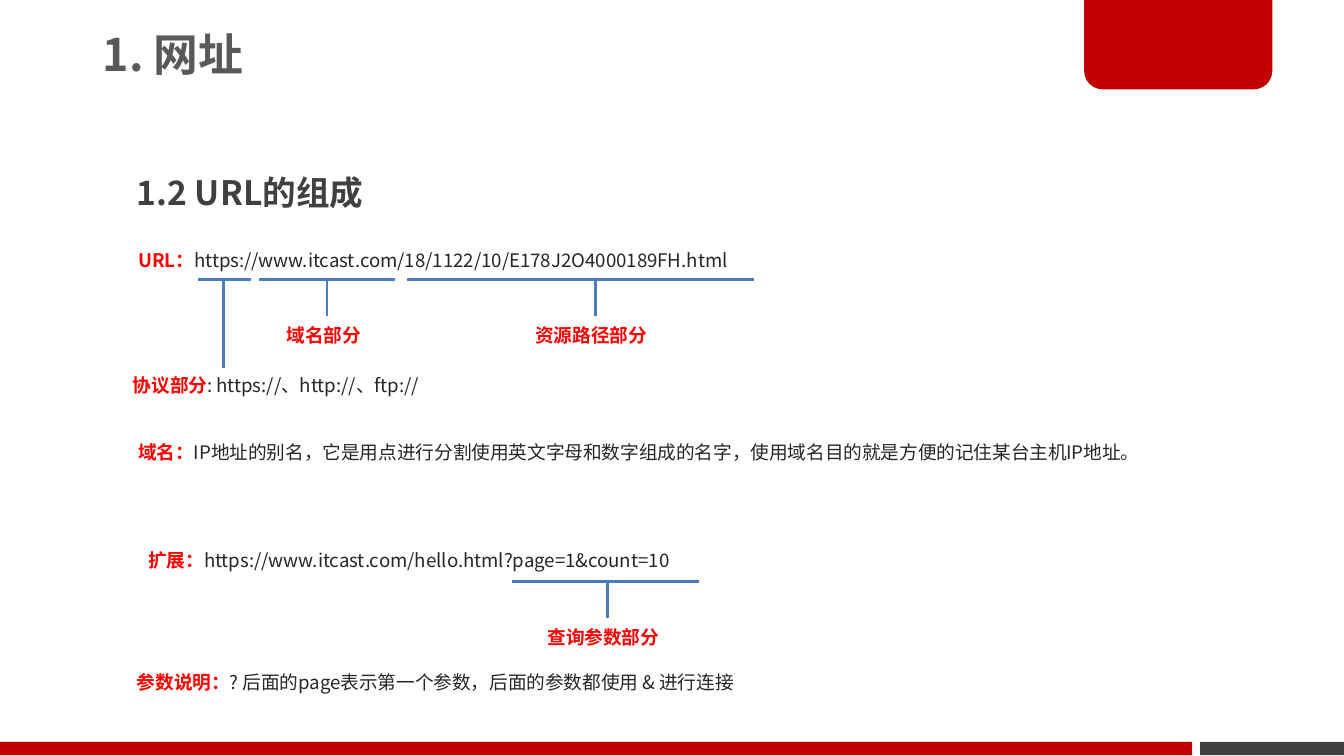
from dataclasses import dataclass

from lxml import etree
from pptx import Presentation
from pptx import util as u
from pptx.dml.color import RGBColor
from pptx.enum import shapes, text
from pptx.oxml.ns import qn

# The slide is a grid of square cells, 100 columns by 56.25 rows (16:9)
COLUMNS, ROWS = 100, 56.25
CELL = u.Inches(0.1)
FONT = "Noto Sans CJK SC"
RED, DARK, BRIGHT, INK, BLUE = "C00000", "404040", "FF0000", "262626", "4A7EBB"
LINE_HEIGHT = 3.5


@dataclass
class TextLine:
    """A line of text: a bold lead and an optional plain remainder."""
    left: float
    top: float
    width: float
    lead: str
    rest: str = ""
    height: float = LINE_HEIGHT
    size: float = 10
    color: str = BRIGHT
    spacing: float = 1.5
    wrap: bool = True


@dataclass
class Bracket:
    """An underline with a stem that drops to a label."""
    left: float
    right: float
    top: float
    stem: float
    drop: float
    label: TextLine


def cells(count: float) -> int:
    return round(count * CELL)


def rgb(color: str) -> RGBColor:
    return RGBColor.from_string(color)


def draw_block(slide, kind, left: float, top: float, width: float, height: float, color: str):
    shape = slide.shapes.add_shape(kind, cells(left), cells(top), cells(width), cells(height))
    shape.shadow.inherit = False
    shape.fill.solid()
    shape.fill.fore_color.rgb = rgb(color)
    shape.line.fill.background()
    return shape


def draw_text(slide, line: TextLine):
    box = slide.shapes.add_textbox(cells(line.left), cells(line.top),
                                   cells(line.width), cells(line.height))
    frame = box.text_frame
    frame.word_wrap = line.wrap
    paragraph = frame.paragraphs[0]
    paragraph.line_spacing = line.spacing
    paragraph.font.name = FONT
    paragraph.font.size = u.Pt(line.size)
    defaults = paragraph._p.pPr.find(qn("a:defRPr"))
    etree.SubElement(defaults, qn("a:ea"), typeface=FONT)
    for words, color, bold in ((line.lead, line.color, True), (line.rest, INK, False)):
        if words:
            run = paragraph.add_run()
            run.text = words
            run.font.bold = bold
            run.font.color.rgb = rgb(color)
    return frame


def draw_line(slide, x1: float, y1: float, x2: float, y2: float) -> None:
    connector = slide.shapes.add_connector(shapes.MSO_CONNECTOR.STRAIGHT,
                                           cells(x1), cells(y1), cells(x2), cells(y2))
    connector.line.color.rgb = rgb(BLUE)
    connector.line.width = u.Pt(1.5)
    etree.SubElement(connector._element.spPr, qn("a:effectLst"))


def draw_bracket(slide, bracket: Bracket) -> None:
    draw_text(slide, bracket.label)
    draw_line(slide, bracket.left, bracket.top, bracket.right, bracket.top)
    draw_line(slide, bracket.stem, bracket.top + bracket.drop, bracket.stem, bracket.top)


TITLE = TextLine(6.85, -0.2, 58.9, "1. 网址", height=8.9, size=24, color="595959", spacing=0.9)

LINES = [
    TextLine(9.2, 10.8, 48.3, "1.2 URL的组成", height=5.5, size=18, color=DARK),
    TextLine(9.3, 17.2, 50.9, "URL：", "https://www.itcast.com/18/1122/10/E178J2O4000189FH.html"),
    TextLine(9.3, 31.5, 82.5, "域名：",
             "IP地址的别名，它是用点进行分割使用英文字母和数字组成的名字，"
             "使用域名目的就是方便的记住某台主机IP地址。"),
    TextLine(10.05, 39.5, 41.1, "扩展：",
             "https://www.itcast.com/hello.html?page=1&count=10", wrap=False),
    TextLine(9.2, 48.6, 58.7, "参数说明：",
             "? 后面的page表示第一个参数，后面的参数都使用 & 进行连接"),
]

URL_ROW, QUERY_ROW = 20.8, 43.25
BRACKETS = [
    Bracket(14.7, 18.7, URL_ROW, 16.63, 6.6,
            TextLine(8.9, 26.5, 25.9, "协议部分", ": https://、http://、ftp://")),
    Bracket(19.3, 29.4, URL_ROW, 24.33, 2.75, TextLine(20.35, 22.75, 10.1, "域名部分")),
    Bracket(30.3, 56.1, URL_ROW, 44.33, 2.75, TextLine(38.85, 22.75, 10.9, "资源路径部分")),
    Bracket(38.1, 52, QUERY_ROW, 45.23, 2.75, TextLine(39.75, 45.25, 11, "查询参数部分")),
]


def main() -> None:
    presentation = Presentation()
    presentation.slide_width = cells(COLUMNS)
    presentation.slide_height = cells(ROWS)
    # Drop the default 4:3 marker so that the widescreen size holds
    presentation.element.sldSz.attrib.pop("type", None)
    slide = presentation.slides.add_slide(presentation.slide_layouts[6])

    # Footer bars and corner tab
    kinds = shapes.MSO_SHAPE
    draw_block(slide, kinds.RECTANGLE, 89.3, 55.2, 10.7, 1, DARK)
    draw_block(slide, kinds.RECTANGLE, 0, 55.2, 88.7, 1, RED)
    tab = draw_block(slide, kinds.ROUND_2_SAME_RECTANGLE, 80.67, -0.2, 14, 6.85, RED)
    tab.adjustments[0], tab.adjustments[1] = 0, 0.2

    # Title
    title = draw_text(slide, TITLE)
    title.vertical_anchor = text.MSO_ANCHOR.MIDDLE
    title.margin_left = title.margin_right = cells(0.8)
    title.margin_top = title.margin_bottom = cells(0.4)

    # Body text and address brackets
    for line in LINES:
        draw_text(slide, line)
    for bracket in BRACKETS:
        draw_bracket(slide, bracket)

    presentation.save("out.pptx")


if __name__ == "__main__":
    main()
